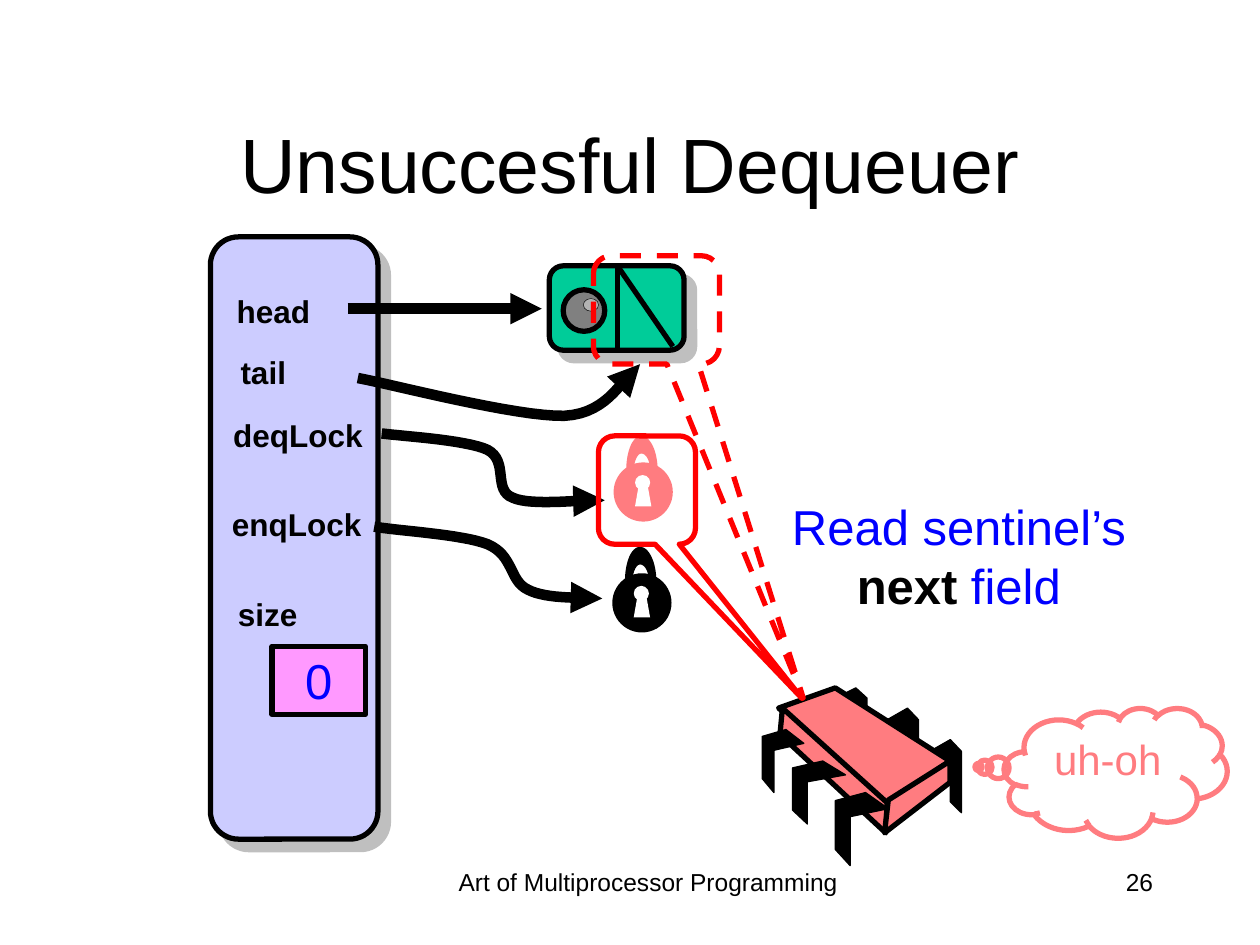
"""Build the slide on a dequeuer that finds the locked queue empty."""
from lxml.etree import SubElement
from pptx import Presentation
from pptx.dml.color import RGBColor
from pptx.enum.dml import MSO_LINE
from pptx.enum.shapes import MSO_CONNECTOR, MSO_SHAPE as Kind
from pptx.enum.text import MSO_ANCHOR as Anchor, MSO_AUTO_SIZE as Fit, PP_ALIGN as Align
from pptx.oxml.ns import qn
from pptx.util import Inches, Pt

BLACK = RGBColor(0, 0, 0)
WHITE = RGBColor(255, 255, 255)
LILAC = RGBColor(0xCC, 0xCC, 0xFF)
PINK = RGBColor(0xFF, 0x99, 0xFF)
CORAL = RGBColor(0xFF, 0x7C, 0x80)
BLUE = RGBColor(0, 0, 255)
RED = RGBColor(255, 0, 0)
GREEN = RGBColor(0, 0xCC, 0x99)
GRAY = RGBColor(0x80, 0x80, 0x80)
SILVER = RGBColor(0xB2, 0xB2, 0xB2)

TITLE = "Unsuccesful Dequeuer"
FIELDS = [
    ("head", 1.78, 2.27, 0.78), ("tail", 1.81, 2.75, 0.56),
    ("deqLock", 1.75, 3.25, 1.23), ("enqLock", 1.74, 3.96, 1.23),
    ("size", 1.79, 4.67, 0.67),
]
NOTE = [("Read sentinel’s ", BLUE, False), ("next", BLACK, True), (" field", BLUE, False)]
CURVES = [
    [(3.03, 3.44), (3.17, 3.46), (3.7, 3.49), (3.87, 3.57), (4.04, 3.66),
     (3.91, 3.89), (4.07, 3.95), (4.22, 4.02), (4.65, 3.96), (4.8, 3.97)],
    [(2.97, 4.18), (3.12, 4.21), (3.67, 4.24), (3.87, 4.32), (4.08, 4.41),
     (4.04, 4.61), (4.19, 4.68), (4.34, 4.76), (4.65, 4.74), (4.78, 4.75)],
    [(2.84, 3), (3.11, 3.05), (4.1, 3.31), (4.48, 3.3), (4.85, 3.28), (4.95, 2.97), (5.08, 2.89)],
]
LOCKS = [(4.87, 3.67, CORAL), (4.86, 4.55, BLACK)]
INNER = [(0.16, 0.07), (0.16, -0.01), (0.19, -0.07), (0.22, -0.07),
         (0.26, -0.07), (0.29, -0.01), (0.29, 0.07)]
OUTER = [(0.35, 0.07), (0.35, -0.09), (0.29, -0.21), (0.22, -0.21),
         (0.15, -0.21), (0.1, -0.09), (0.1, 0.07)]
SLOT = [(0.17, 0.35), (0.2, 0.18), (0.27, 0.18), (0.3, 0.35)]
BACK = [(0, 0.16), (0.65, 0), (1, 0.16), (1, 1), (0.65, 0.85), (0.65, 0.29), (0, 0.43)]
FRONT = [(0.57, 0), (1, 0.22), (0.28, 0.33), (0.28, 1), (0, 0.78), (0, 0.11)]
BACK_LEGS = [(7.38, 5.87, 0.25, 0.58), (7.04, 5.62, 0.25, 0.58), (6.63, 5.46, 0.25, 0.5)]
FRONT_LEGS = [(6.63, 6.29, 0.42, 0.58), (6.29, 6.04, 0.42, 0.5), (6.05, 5.79, 0.33, 0.5)]
FACES = [
    [(6.63, 5.46), (7.54, 6.04), (7.03, 6.39), (6.18, 5.62)],
    [(6.21, 5.62), (7.04, 6.37), (7.03, 6.61), (6.19, 5.83)],
    [(7.54, 6.04), (7.54, 6.21), (7.02, 6.61), (7.05, 6.35)],
]

deck = Presentation()
deck.slide_width, deck.slide_height = Inches(10), Inches(7.5)
slide = deck.slides.add_slide(deck.slide_layouts[5])
shapes = slide.shapes


def paint(shape, fill=None, line=None, width=3):
    shape.shadow.inherit = False
    if fill is None:
        shape.fill.background()
    else:
        shape.fill.solid()
        shape.fill.fore_color.rgb = fill
    if line is None:
        shape.line.fill.background()
    else:
        shape.line.color.rgb = line
        shape.line.width = Pt(width)
    return shape


def draw(kind, box, fill=None, line=None, width=3, adj=()):
    shape = shapes.add_shape(kind, *map(Inches, box))
    for i, value in enumerate(adj):
        shape.adjustments[i] = value
    return paint(shape, fill, line, width)


def trace(points, fill=None, line=None, width=3, close=True):
    dots = [(Inches(x), Inches(y)) for x, y in points]
    pen = shapes.build_freeform(*dots[0], scale=1.0)
    pen.add_line_segments(dots[1:], close=close)
    return paint(pen.convert_to_shape(), fill, line, width)


def bend(knots, steps=16):
    points = [knots[0]]
    for i in range(0, len(knots) - 1, 3):
        for t in (n / steps for n in range(1, steps + 1)):
            parts = ((1 - t) ** 3, 3 * t * (1 - t) ** 2, 3 * t * t * (1 - t), t ** 3)
            points.append(tuple(sum(p * k[axis] for p, k in zip(parts, knots[i:i + 4]))
                                for axis in (0, 1)))
    return points


def cast(shape):
    effect = shape._element.spPr.find(qn("a:effectLst"))
    shade = SubElement(effect, qn("a:outerShdw"), dist=str(Pt(8.5)), dir="2700000", algn="ctr")
    color = SubElement(shade, qn("a:srgbClr"), val=str(GRAY))
    SubElement(color, qn("a:alpha"), val="50000")


def point(shape):
    SubElement(shape.line._get_or_add_ln(), qn("a:tailEnd"), type="triangle")


def link(start, end, width=3):
    line = shapes.add_connector(MSO_CONNECTOR.STRAIGHT, *map(Inches, start + end))
    line.line.color.rgb = BLACK
    line.line.width = Pt(width)
    SubElement(line._element.spPr, qn("a:effectLst"))
    return line


def write(shape, runs, size, align=Align.CENTER, wrap=True, anchor=Anchor.TOP):
    frame = shape.text_frame
    frame.word_wrap, frame.auto_size, frame.vertical_anchor = wrap, Fit.NONE, anchor
    para = frame.paragraphs[0]
    para.alignment = align
    for text, color, bold in runs:
        run = para.add_run()
        run.text = text
        font = run.font
        font.name, font.size, font.bold, font.color.rgb = "Arial", Pt(size), bold, color


def label(box, runs, size, **style):
    write(shapes.add_textbox(*map(Inches, box)), runs, size, **style)


def lock(x, y, color):
    def move(points):
        return [(x + dx, y + dy) for dx, dy in points]
    draw(Kind.OVAL, (x, y, 0.47, 0.47), color)
    draw(Kind.OVAL, (x + 0.17, y + 0.1, 0.12, 0.12), WHITE)
    trace(move(SLOT), WHITE)
    trace(move(bend(INNER) + bend(OUTER)), color)


def legs(boxes, form):
    for x, y, w, h in boxes:
        trace([(x + w * u, y + h * v) for u, v in form], BLACK, BLACK, 0.75)


title = shapes.title
title.left, title.top, title.width, title.height = map(Inches, (0.75, 0.67, 8.5, 1.25))
write(title, [(TITLE, BLACK, False)], 44, anchor=Anchor.MIDDLE)
label((3.42, 6.83, 3.45, 0.5), [("Art of Multiprocessor Programming", BLACK, False)], 14)
label((7.17, 6.83, 2.08, 0.5), [("26", BLACK, False)], 14, align=Align.RIGHT)

cast(draw(Kind.ROUNDED_RECTANGLE, (1.67, 1.88, 1.33, 4.78), LILAC, BLACK, adj=[0.167]))
for name, x, y, w in FIELDS:
    label((x, y, w, 0.4), [(name, BLACK, True)], 18, wrap=False)
count = draw(Kind.RECTANGLE, (2.16, 5.13, 0.74, 0.54), PINK, BLACK)
write(count, [("0", BLUE, False)], 28, wrap=False, anchor=Anchor.MIDDLE)

for place in LOCKS:
    lock(*place)
for knots in CURVES:
    point(trace(bend(knots), None, BLACK, 6, close=False))
point(link((2.76, 2.45), (4.3, 2.45), 6))

legs(BACK_LEGS, BACK)
for face in FACES:
    trace(face, CORAL, BLACK)
legs(FRONT_LEGS, FRONT)

label((5.76, 3.89, 3.7, 1.04), NOTE, 28)
cloud = draw(Kind.CLOUD_CALLOUT, (7.97, 5.62, 1.77, 1.03), None, CORAL, adj=[-0.615, -0.046])
write(cloud, [("uh-oh", CORAL, False)], 24)
draw(Kind.ROUNDED_RECTANGULAR_CALLOUT, (4.75, 3.46, 0.77, 0.86), None, RED,
     adj=[1.598, 1.923, 0.167])

cast(draw(Kind.ROUNDED_RECTANGLE, (4.36, 2.11, 1.07, 0.67), GREEN, BLACK, adj=[0.167]))
link((4.9, 2.11), (4.9, 2.78))
draw(Kind.OVAL, (4.47, 2.3, 0.33, 0.33), GRAY, BLACK)
draw(Kind.OVAL, (4.63, 2.37, 0.12, 0.1), SILVER, BLACK, 0.25)
link((4.9, 2.11), (5.34, 2.75))
focus = draw(Kind.ROUNDED_RECTANGULAR_CALLOUT, (4.71, 2.03, 1, 0.86), None, RED,
             adj=[1.165, 3.581, 0.167])
focus.line.dash_style = MSO_LINE.DASH

deck.save("out.pptx")
